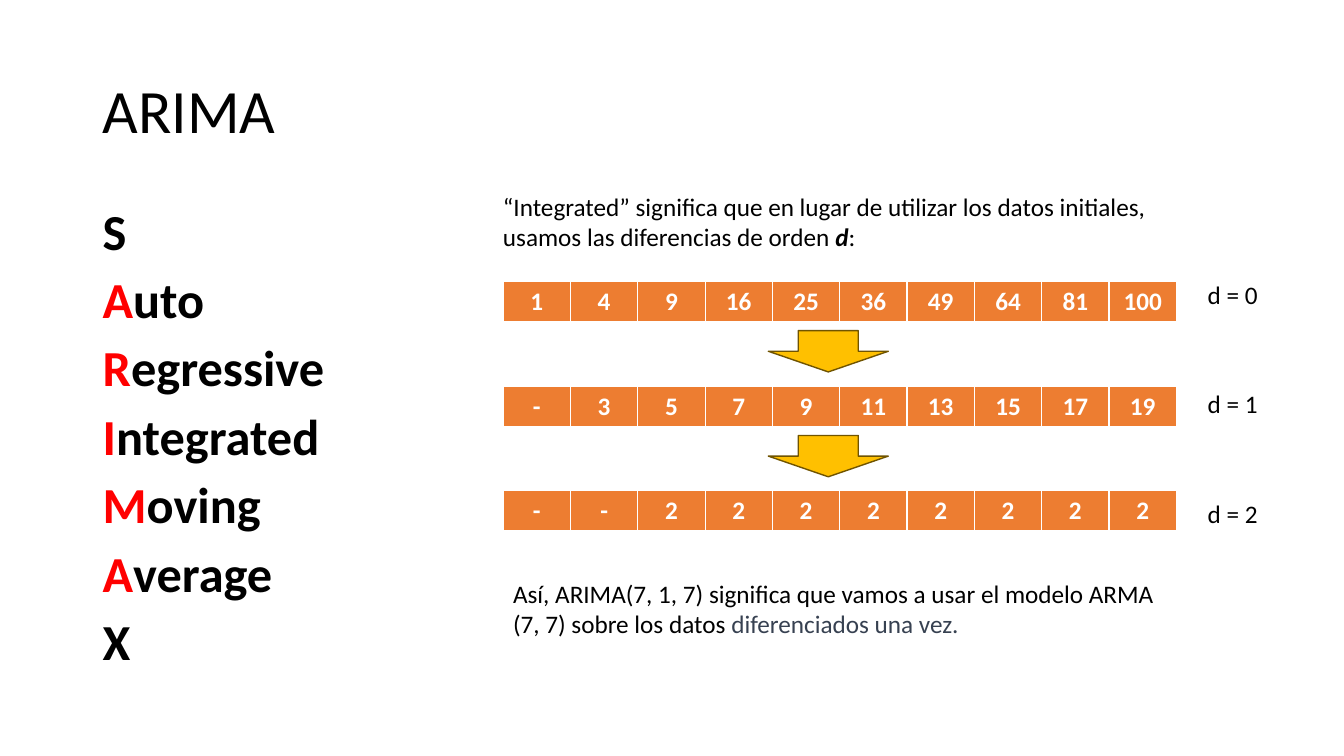
from lxml import etree
from pptx import Presentation
from pptx.dml.color import RGBColor
from pptx.enum.shapes import MSO_SHAPE as SHAPE
from pptx.enum.text import MSO_ANCHOR as ANCHOR, PP_ALIGN as ALIGN
from pptx.oxml.ns import qn
from pptx.util import Inches, Pt

BLACK, WHITE, RED = "000000", "FFFFFF", "FF0000"
ORANGE, GOLD, BROWN, SLATE = "ED7D31", "FFC000", "705400", "374151"
WORDS = ["S", "Auto", "Regressive", "Integrated", "Moving", "Average", "X"]
SERIES = [
    ["1", "4", "9", "16", "25", "36", "49", "64", "81", "100"],
    ["-", "3", "5", "7", "9", "11", "13", "15", "17", "19"],
    ["-", "-"] + ["2"] * 8,
]
BORDERS = {"lnL": 1, "lnR": 1, "lnT": 1, "lnB": 3}


def rgb(value):
    return RGBColor.from_string(value)


def add_run(p, text, size=18, color=BLACK, bold=False, italic=False):
    r = p.add_run()
    r.text = text
    r.font.name = "Calibri"
    r.font.size = Pt(size)
    r.font.color.rgb = rgb(color)
    r.font.bold = bold
    r.font.italic = italic


def add_text(s, x, y, w, h):
    tf = s.shapes.add_textbox(Inches(x), Inches(y), Inches(w), Inches(h)).text_frame
    tf.word_wrap = True
    return tf


def add_title(s, x, y, w, h):
    tf = add_text(s, x, y, w, h)
    tf.vertical_anchor = ANCHOR.MIDDLE
    p = tf.paragraphs[0]
    p.line_spacing = 0.9
    add_run(p, "ARIMA", 44)


def add_acronym(s, x, y, w, h):
    tf = add_text(s, x, y, w, h)
    for i, word in enumerate(WORDS):
        p = tf.add_paragraph() if i else tf.paragraphs[0]
        p.line_spacing = 0.9
        p.space_before = Pt(10)
        if len(word) == 1:
            add_run(p, word, 36, bold=True)
        else:
            add_run(p, word[0], 36, RED, bold=True)
            add_run(p, word[1:], 36, bold=True)


def add_borders(cell):
    tcPr = cell._tc.get_or_add_tcPr()
    for i, (tag, width) in enumerate(BORDERS.items()):
        ln = etree.Element(qn(f"a:{tag}"), w=str(Pt(width)))
        fill = etree.SubElement(ln, qn("a:solidFill"))
        etree.SubElement(fill, qn("a:srgbClr"), val=WHITE)
        tcPr.insert(i, ln)


def add_series(s, values, x, y, w, h):
    table = s.shapes.add_table(
        1, len(values), Inches(x), Inches(y), Inches(w), Inches(h)
    ).table
    table.first_row = table.horz_banding = False
    for col, cell, value in zip(table.columns, table.rows[0].cells, values):
        col.width = Inches(w / len(values))
        cell.fill.solid()
        cell.fill.fore_color.rgb = rgb(ORANGE)
        add_borders(cell)
        p = cell.text_frame.paragraphs[0]
        p.alignment = ALIGN.CENTER
        add_run(p, value, color=WHITE, bold=True)


def add_arrow(s, x, y, w, h):
    sp = s.shapes.add_shape(
        SHAPE.DOWN_ARROW, Inches(x), Inches(y), Inches(w), Inches(h)
    )
    sp.shadow.inherit = False
    sp.fill.solid()
    sp.fill.fore_color.rgb = rgb(GOLD)
    sp.line.color.rgb = rgb(BROWN)
    sp.line.width = Pt(1)


def add_differences(s, x, y, w, row_h, step):
    for d, values in enumerate(SERIES):
        top = y + d * step
        add_series(s, values, x, top, w, row_h)
        if d < len(SERIES) - 1:
            add_arrow(s, x + 2.63, top + 0.49, 1.19, 0.41)
        label = add_text(s, x + 6.89, y - 0.07 + d * 1.085, 0.81, 0.4)
        add_run(label.paragraphs[0], f"d = {d}")


def add_definition(s, x, y, w, h):
    p = add_text(s, x, y, w, h).paragraphs[0]
    add_run(p, "“Integrated” significa que en lugar de utilizar los datos initiales, "
               "usamos las diferencias de orden ")
    add_run(p, "d", bold=True, italic=True)
    add_run(p, ":")


def add_conclusion(s, x, y, w, h):
    p = add_text(s, x, y, w, h).paragraphs[0]
    add_run(p, "Así, ARIMA(7, 1, 7) significa que vamos a usar el modelo ARMA "
               "(7, 7) sobre los datos ")
    add_run(p, "diferenciados una vez.", color=SLATE)


def main():
    prs = Presentation()
    prs.slide_width, prs.slide_height = Inches(13.33), Inches(7.5)
    s = prs.slides.add_slide(prs.slide_layouts[6])
    add_title(s, 0.92, 0.4, 11.5, 1.45)
    add_acronym(s, 0.92, 2, 2.57, 4.76)
    add_definition(s, 4.89, 1.85, 6.9, 0.71)
    add_differences(s, 4.99, 2.79, 6.68, 0.41, 1.04)
    add_conclusion(s, 4.99, 5.69, 6.74, 0.71)
    prs.save("out.pptx")


if __name__ == "__main__":
    main()
